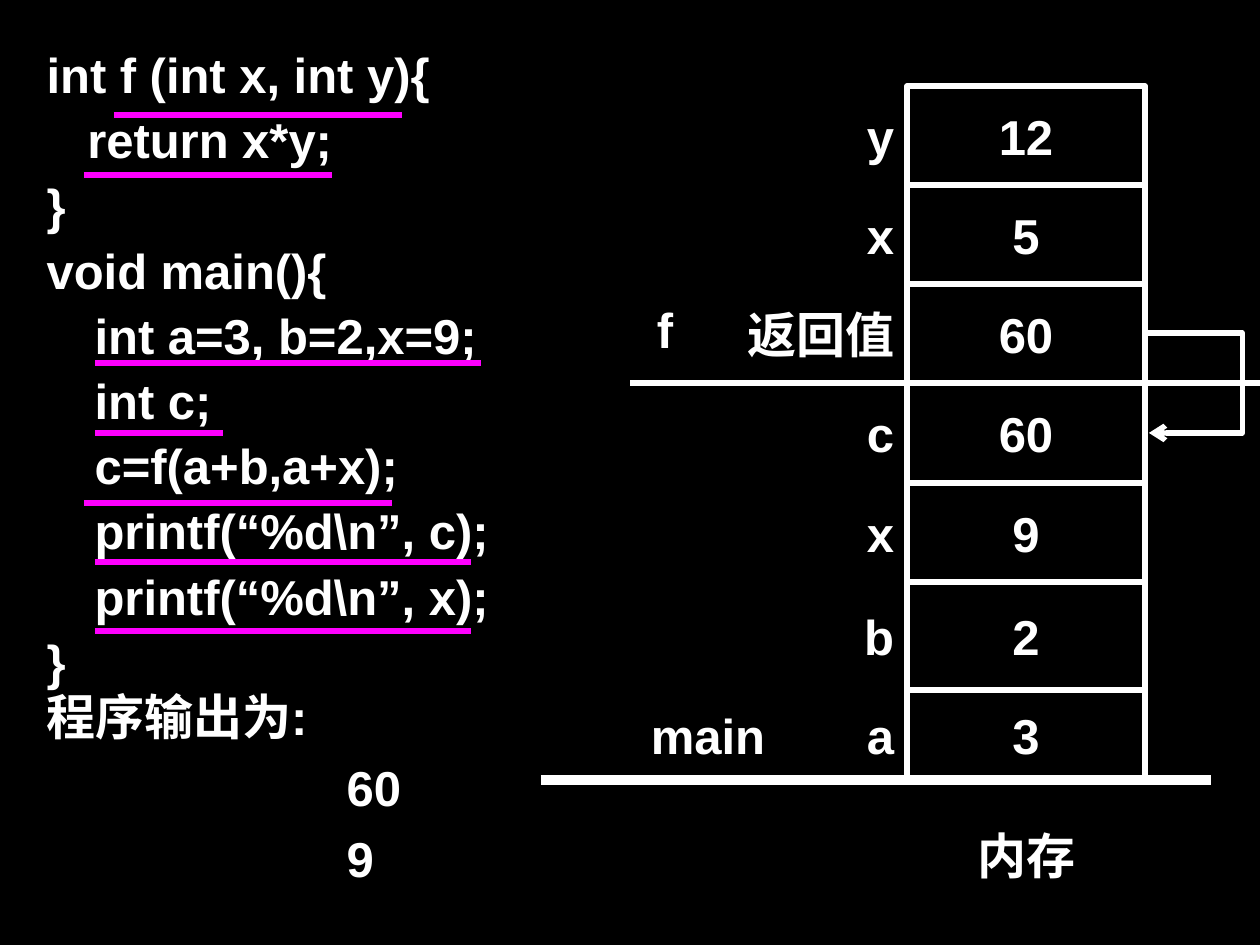
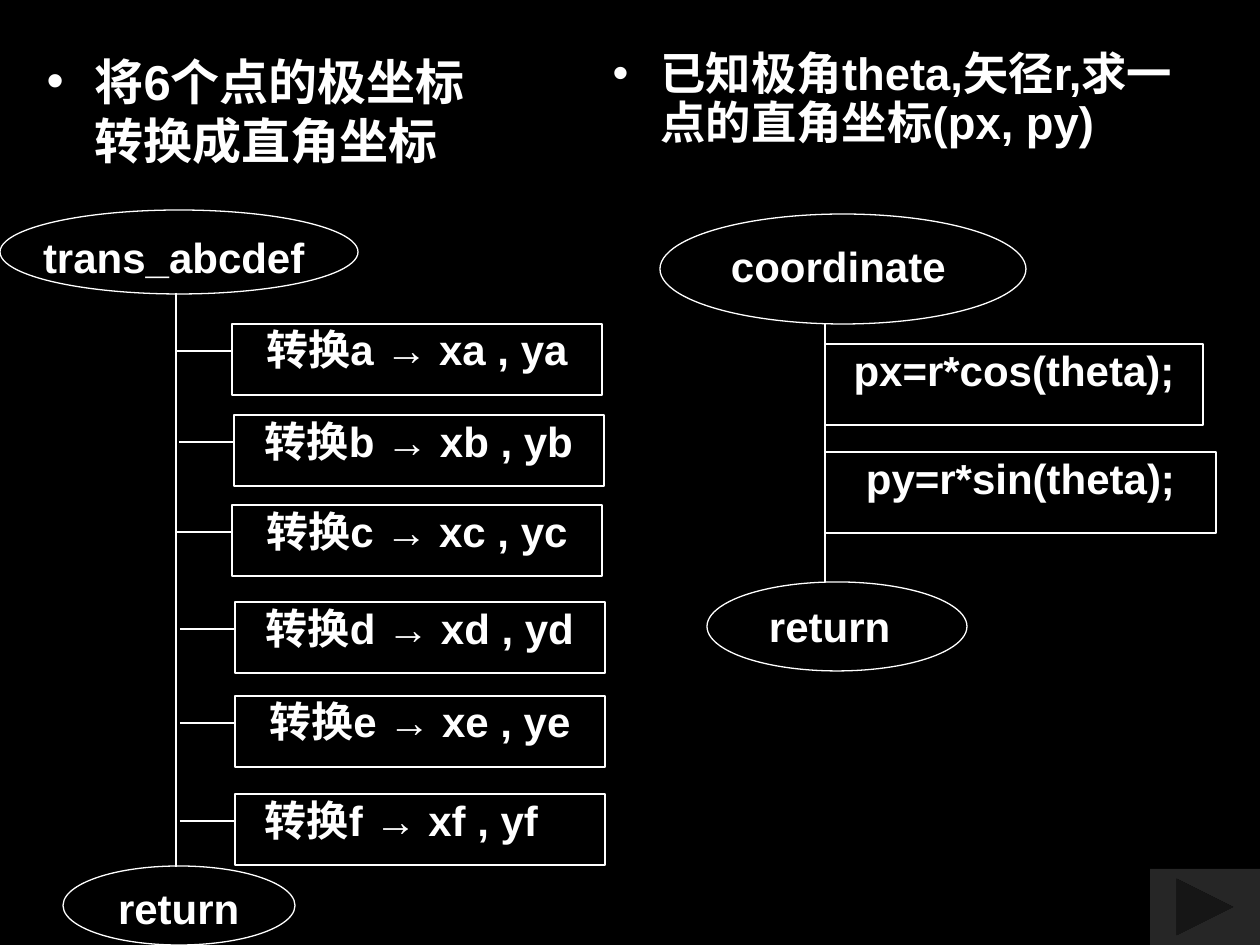
from pptx import Presentation
from pptx.dml.color import RGBColor
from pptx.enum.shapes import MSO_CONNECTOR as Link, MSO_SHAPE as Kind
from pptx.enum.text import MSO_ANCHOR as Anchor, MSO_AUTO_SIZE as Fit, PP_ALIGN as Align
from pptx.oxml.ns import qn
from pptx.util import Pt
from lxml.etree import SubElement

HUE = {"back": "000000", "ink": "FFFFFF", "mark": "FF00FF", "button": "262626"}
FONT = {"name": "Arial", "bold": True}
UNIT = 914400 / 126
WIDE, HIGH = 1260, 945

CODE = [
    (0, "int f (int x, int y){"),
    (0, "   return x*y;"),
    (0, "}"),
    (0, "void main(){"),
    (48, "int a=3, b=2,x=9;"),
    (48, "int c;"),
    (48, "c=f(a+b,a+x);"),
    (48, "printf(“%d\\n”, c);"),
    (48, "printf(“%d\\n”, x);"),
    (0, "}"),
]
OUTPUT = [(0, "程序输出为:"), (300, "60"), (300, "9")]
MARKS = [
    (114, 402, 115), (84, 332, 175), (95, 481, 363), (95, 223, 433),
    (84, 372, 503), (154, 392, 503), (95, 471, 562), (95, 471, 631),
]
CELLS = [
    ("y", "12", 99), ("x", "5", 99), ("返回值", "60", 99), ("c", "60", 100),
    ("x", "9", 99), ("b", "2", 108), ("a", "3", 90),
]
FRAMES = [
    ("f", (581, 284, 168, 90), Align.CENTER),
    ("main", (610, 690, 168, 90), Align.RIGHT),
    ("内存", (917, 820, 218, 69), Align.CENTER),
]
STACK = (907, 86, 238)

GOALS = [
    ((34, 45, 576, 139), "将6个点的极坐标\v转换成直角坐标", 28, 1),
    ((600, 45, 605, 139), "已知极角theta,矢径r,求一点的直角坐标(px, py)", 25.9, 0.9),
]
OVALS = [
    ((0, 210, 358, 84), "trans_abcdef", (43, 241, 273, 44), 0.8),
    ((63, 866, 232, 79), "return", (118, 883, 144, 39), 1),
    ((660, 214, 366, 110), "coordinate", (731, 244, 248, 59), 0.96),
    ((707, 582, 260, 89), "return", (769, 601, 161, 44), 1),
]
TRUNKS = [(176, 293, 867), (825, 324, 582)]
STEPS = [
    ("a", 232, 324), ("b", 234, 415), ("c", 232, 505),
    ("d", 235, 602), ("e", 235, 696), ("f", 235, 794),
]
SUMS = [
    ("px=r*cos(theta);", (825, 344, 378, 81)),
    ("py=r*sin(theta);", (825, 452, 391, 81)),
]


def px(n):
    return round(n * UNIT)


def rgb(key):
    return RGBColor.from_string(HUE[key])


def style(para, size, **form):
    for key, val in form.items():
        setattr(para, key, val)
    for run in para.runs:
        for key, val in {**FONT, "size": Pt(size)}.items():
            setattr(run.font, key, val)
        run.font.color.rgb = rgb("ink")


def write(shape, text, size, align, anchor=Anchor.TOP, inset=(0, 0), wrap=True, gap=1):
    side, edge = map(px, inset)
    frame = shape.text_frame
    form = {
        "margin_left": side, "margin_right": side, "margin_top": edge,
        "margin_bottom": edge, "word_wrap": wrap, "vertical_anchor": anchor,
    }
    for key, val in form.items():
        setattr(frame, key, val)
    para = frame.paragraphs[0]
    para.text = text
    style(para, size, alignment=align, line_spacing=gap)
    return shape


def label(slide, box, *args, **form):
    return write(slide.shapes.add_textbox(*map(px, box)), *args, **form)


def outline(slide, kind, box, width):
    shape = slide.shapes.add_shape(kind, *map(px, box))
    shape.shadow.inherit = False
    shape.fill.background()
    shape.line.color.rgb = rgb("ink")
    shape.line.width = Pt(width)
    return shape


def line(slide, ends, width, hue="ink", kind=Link.STRAIGHT):
    link = slide.shapes.add_connector(kind, *map(px, ends))
    link.line.color.rgb = rgb(hue)
    link.line.width = Pt(width)
    SubElement(link._element.spPr, qn("a:effectLst"))
    return link


def bullet(para, left, hang, sign=None):
    prop = para._p.get_or_add_pPr()
    prop.set("marL", str(px(left)))
    prop.set("indent", str(px(hang)))
    if sign:
        tint = SubElement(prop, qn("a:buClr"))
        SubElement(tint, qn("a:srgbClr"), val=HUE["ink"])
        SubElement(prop, qn("a:buFont"), typeface=FONT["name"])
        SubElement(prop, qn("a:buChar"), char=sign)
    else:
        SubElement(prop, qn("a:buNone"))


def fill(body, box, rows, size, gap, hang=0, sign=None):
    body.left, body.top, body.width, body.height = map(px, box)
    frame = body.text_frame
    frame.auto_size = Fit.NONE
    for num, (left, text) in enumerate(rows):
        para = frame.add_paragraph() if num else frame.paragraphs[0]
        para.text = text
        bullet(para, left, hang, sign)
        style(para, size, line_spacing=gap, space_before=Pt(7 if num else 0))


def start(deck):
    slide = deck.slides.add_slide(deck.slide_layouts[3])
    title = slide.shapes.title._element
    title.getparent().remove(title)
    return slide, slide.placeholders[1], slide.placeholders[2]


def memory(deck):
    slide, code, out = start(deck)
    fill(code, (34, 45, 586, 704), CODE, 28, 0.9)
    fill(out, (34, 680, 586, 228), OUTPUT, 28, 1)
    form = {"anchor": Anchor.MIDDLE, "inset": (13, 6), "wrap": False}
    left, top, wide = STACK
    mids = []
    for name, value, tall in CELLS:
        cell = outline(slide, Kind.RECTANGLE, (left, top, wide, tall), 3)
        write(cell, value, 28, Align.CENTER, **form)
        label(slide, (left - 198, top, 198, tall), name, 28, Align.RIGHT, **form)
        mids.append(top + tall // 2)
        top += tall
    for text, box, align in FRAMES:
        label(slide, box, text, 28, align, **form)
    line(slide, (630, 383, WIDE, 383), 3)
    line(slide, (541, top, 1211, top), 6)
    for x1, x2, y in MARKS:
        line(slide, (x1, y, x2, y), 3, "mark")
    edge = left + wide + 3
    back = line(slide, (edge, mids[2], edge + 1, mids[3]), 3, kind=Link.ELBOW)
    turn = back._element.spPr.find(qn("a:prstGeom")).find(qn("a:avLst"))
    SubElement(turn, qn("a:gd"), name="adj1", fmla="val 9500000")
    SubElement(back.line._get_or_add_ln(), qn("a:tailEnd"), type="arrow")


def flow(deck):
    slide, *bodies = start(deck)
    for body, (box, text, size, gap) in zip(bodies, GOALS):
        fill(body, box, [(48, text)], size, gap, -48, "•")
    for box, text, spot, gap in OVALS:
        outline(slide, Kind.OVAL, box, 0.75)
        label(slide, spot, text, 24, Align.LEFT, gap=gap)
    for x, y1, y2 in TRUNKS:
        line(slide, (x, y1, x, y2), 0.75)
    for name, x, y in STEPS:
        step = outline(slide, Kind.RECTANGLE, (x, y, 370, 71), 0.75)
        last = name == "f"
        write(step, f"转换{name} → x{name} , y{name}", 24, Align.LEFT if last else Align.CENTER)
        if last:
            step.text_frame.margin_left = px(30)
        line(slide, (x - 55, y + 27, x, y + 27), 0.75)
    for text, box in SUMS:
        write(outline(slide, Kind.RECTANGLE, box, 0.75), text, 24, Align.CENTER)
    button = outline(slide, Kind.ACTION_BUTTON_FORWARD_OR_NEXT, (1150, 869, 110, 76), 0.75)
    button.fill.solid()
    button.fill.fore_color.rgb = rgb("button")
    button.line.fill.background()


def main():
    deck = Presentation()
    deck.slide_width, deck.slide_height = px(WIDE), px(HIGH)
    back = deck.slide_master.background.fill
    back.solid()
    back.fore_color.rgb = rgb("back")
    memory(deck)
    flow(deck)
    deck.save("out.pptx")


if __name__ == "__main__":
    main()
